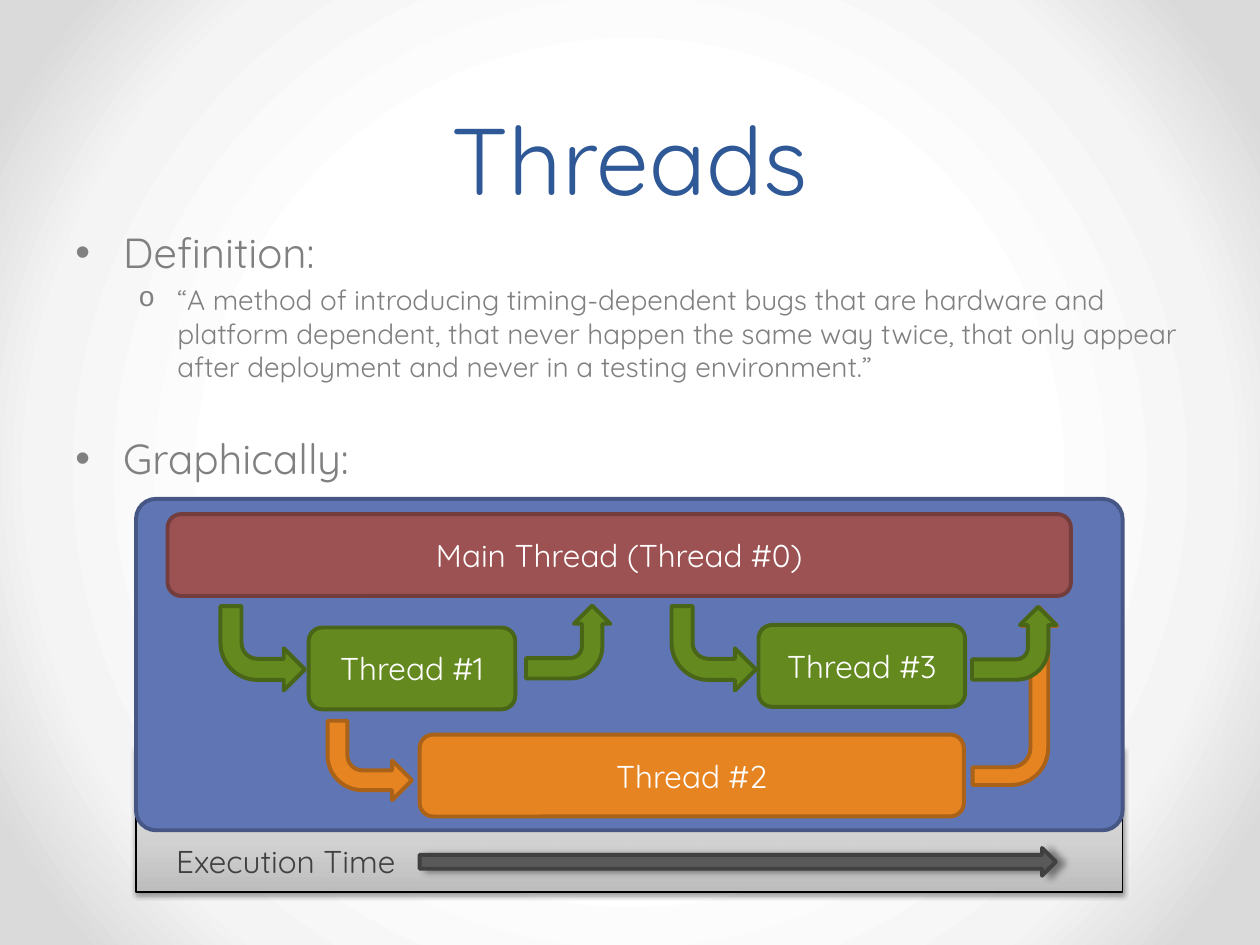
import pptx
import pptx.dml.color
import pptx.enum.shapes
import pptx.enum.text
import pptx.oxml
import pptx.oxml.ns
import pptx.util
import lxml.etree

Inches = pptx.util.Inches
Pt = pptx.util.Pt
RGBColor = pptx.dml.color.RGBColor
MSO_SHAPE = pptx.enum.shapes.MSO_SHAPE
PP_ALIGN = pptx.enum.text.PP_ALIGN
MSO_ANCHOR = pptx.enum.text.MSO_ANCHOR
qn = pptx.oxml.ns.qn

FONT = "Quicksand"
TITLE_BLUE = RGBColor(0x2F, 0x58, 0x97)
BODY_GRAY = RGBColor(0x80, 0x80, 0x80)
WHITE = RGBColor(0xFF, 0xFF, 0xFF)
BLACK = RGBColor(0, 0, 0)
BLUE = RGBColor(0x60, 0x76, 0xB4)
DARK_BLUE = RGBColor(0x47, 0x57, 0x85)
RED = RGBColor(0x9C, 0x52, 0x52)
DARK_RED = RGBColor(0x73, 0x3D, 0x3D)
GREEN = RGBColor(0x63, 0x89, 0x1F)
DARK_GREEN = RGBColor(0x49, 0x65, 0x17)
ORANGE = RGBColor(0xE6, 0x84, 0x22)
DARK_ORANGE = RGBColor(0xAA, 0x62, 0x19)
GRAY = RGBColor(0x59, 0x59, 0x59)
DARK_GRAY = RGBColor(0x40, 0x40, 0x40)
BACKGROUND_STOPS = [
    (50, WHITE),
    (76, RGBColor(0xF4, 0xF4, 0xF4)),
    (92, RGBColor(0xDA, 0xDA, 0xDA)),
]
BAND_STOPS = [
    (0, RGBColor(0xBD, 0xBD, 0xBD)),
    (35, RGBColor(0xD1, 0xD1, 0xD1)),
    (100, RGBColor(0xEE, 0xEE, 0xEE)),
]


def set_gradient(fill, owner, stops, direction):
    fill.gradient()
    gradient = owner.find(".//" + qn("a:gradFill"))
    for child in list(gradient):
        gradient.remove(child)
    stop_list = lxml.etree.SubElement(gradient, qn("a:gsLst"))
    for position, color in stops:
        stop = lxml.etree.SubElement(stop_list, qn("a:gs"), pos=str(position * 1000))
        lxml.etree.SubElement(stop, qn("a:srgbClr"), val=str(color))
    gradient.append(pptx.oxml.parse_xml(direction))


def add_run(paragraph, text, size, color):
    run = paragraph.add_run()
    run.text = text
    run.font.name = FONT
    run.font.size = Pt(size)
    run.font.color.rgb = color


presentation = pptx.Presentation()
presentation.slide_width = Inches(10)
presentation.slide_height = Inches(7.5)
slide = presentation.slides.add_slide(presentation.slide_layouts[6])
namespace = pptx.oxml.ns.nsdecls("a")
set_gradient(
    slide.background.fill, slide._element, BACKGROUND_STOPS,
    f'<a:path {namespace} path="circle">'
    '<a:fillToRect l="50000" t="50000" r="50000" b="50000"/></a:path>',
)

ROUND = MSO_SHAPE.ROUNDED_RECTANGLE
BENT = MSO_SHAPE.BENT_ARROW
ARROW = MSO_SHAPE.RIGHT_ARROW
RISE = [0.28, 0.25, 0.25, 0.44]
LONG_RISE = [0.21, 0.21, 0.22, 0.44]
BAND_SHADOW = (38, 3.1, 1.6, 90)
ARROW_SHADOW = (43, 4, 4, 10)

diagram = [
    (ROUND, 1.08, 5.93, 7.83, 1.15, 0, [0], None, BLACK, None, BAND_SHADOW),
    (ROUND, 1.08, 3.96, 7.83, 2.63, 0, [0.06], BLUE, DARK_BLUE, None, None),
    (ROUND, 1.33, 4.08, 7.17, 0.65, 0, [], RED, DARK_RED, "Main Thread (Thread #0)", None),
    (ROUND, 2.45, 4.98, 1.64, 0.65, 0, [], GREEN, DARK_GREEN, "Thread #1", None),
    (BENT, 1.75, 4.81, 0.67, 0.67, 180, [], GREEN, DARK_GREEN, None, None),
    (BENT, 4.22, 4.76, 0.58, 0.67, 90, RISE, GREEN, DARK_GREEN, None, None),
    (ROUND, 6.02, 4.96, 1.64, 0.65, 0, [], GREEN, DARK_GREEN, "Thread #3", None),
    (BENT, 5.33, 4.81, 0.67, 0.67, 180, [], GREEN, DARK_GREEN, None, None),
    (ROUND, 3.33, 5.83, 4.32, 0.65, 0, [], ORANGE, DARK_ORANGE, "Thread #2", None),
    (BENT, 2.6, 5.72, 0.67, 0.63, 180, [], ORANGE, DARK_ORANGE, None, None),
    (BENT, 7.35, 5.19, 1.41, 0.67, 90, LONG_RISE, ORANGE, DARK_ORANGE, None, None),
    (BENT, 7.76, 4.77, 0.58, 0.67, 90, RISE, GREEN, DARK_GREEN, None, None),
    (ARROW, 3.33, 6.73, 5.05, 0.22, 0, [], GRAY, DARK_GRAY, None, ARROW_SHADOW),
]
for kind, left, top, width, height, turn, adjustments, color, line, label, shadow in diagram:
    shape = slide.shapes.add_shape(kind, Inches(left), Inches(top), Inches(width), Inches(height))
    shape.rotation = turn
    if kind == BENT:
        shape._element.spPr.find(qn("a:xfrm")).set("flipH", "1")
    for index, value in enumerate(adjustments):
        shape.adjustments[index] = value
    if color is None:
        set_gradient(shape.fill, shape._element.spPr, BAND_STOPS,
                     f'<a:lin {namespace} ang="16200000" scaled="0"/>')
    else:
        shape.fill.solid()
        shape.fill.fore_color.rgb = color
    shape.line.color.rgb = line
    shape.line.width = Pt(0.75 if color is None else 2.25)
    shape.shadow.inherit = False
    if shadow:
        opacity, blur, distance, angle = shadow
        effects = shape._element.spPr.find(qn("a:effectLst"))
        outer = lxml.etree.SubElement(
            effects, qn("a:outerShdw"), blurRad=str(Pt(blur)), dist=str(Pt(distance)),
            dir=str(angle * 60000), rotWithShape="0")
        shade = lxml.etree.SubElement(outer, qn("a:srgbClr"), val=str(BLACK))
        lxml.etree.SubElement(shade, qn("a:alpha"), val=str(opacity * 1000))
    if label:
        shape.text_frame.vertical_anchor = MSO_ANCHOR.MIDDLE
        paragraph = shape.text_frame.paragraphs[0]
        paragraph.alignment = PP_ALIGN.CENTER
        add_run(paragraph, label, 18, WHITE)

title = slide.shapes.add_textbox(Inches(0.5), Inches(0), Inches(9), Inches(1.75))
title.text_frame.word_wrap = True
title.text_frame.vertical_anchor = MSO_ANCHOR.BOTTOM
paragraph = title.text_frame.paragraphs[0]
paragraph.alignment = PP_ALIGN.CENTER
paragraph.line_spacing = Pt(58)
add_run(paragraph, "Threads", 54, TITLE_BLUE)

body = slide.shapes.add_textbox(Inches(0.5), Inches(1.75), Inches(9), Inches(5.58))
body.text_frame.word_wrap = True
quote = (
    "“A method of introducing timing-dependent bugs that are hardware and platform "
    "dependent, that never happen the same way twice, that only appear after "
    "deployment and never in a testing environment.”"
)
outline = [
    ("Definition:", 24, 0, 0.38, 0.38, 4.8, "•", "Arial"),
    (quote, 16, 1, 0.81, 0.31, 3.2, "o", "Courier New"),
    ("Graphically:", 24, 0, 0.38, 0.38, 28, "•", "Arial"),
]
for index, (text, size, level, margin, hanging, gap, bullet, bullet_font) in enumerate(outline):
    paragraph = body.text_frame.paragraphs[0] if index == 0 else body.text_frame.add_paragraph()
    paragraph.level = level
    paragraph.space_before = Pt(gap)
    properties = paragraph._p.get_or_add_pPr()
    properties.set("marL", str(Inches(margin)))
    properties.set("indent", str(-Inches(hanging)))
    lxml.etree.SubElement(properties, qn("a:buFont"), typeface=bullet_font)
    lxml.etree.SubElement(properties, qn("a:buChar"), char=bullet)
    add_run(paragraph, text, size, BODY_GRAY)

caption = slide.shapes.add_textbox(Inches(1.3), Inches(6.63), Inches(2.03), Inches(0.4))
caption.text_frame.word_wrap = False
caption.text_frame.auto_size = pptx.enum.text.MSO_AUTO_SIZE.SHAPE_TO_FIT_TEXT
add_run(caption.text_frame.paragraphs[0], "Execution Time", 18, DARK_GRAY)

presentation.save("out.pptx")
